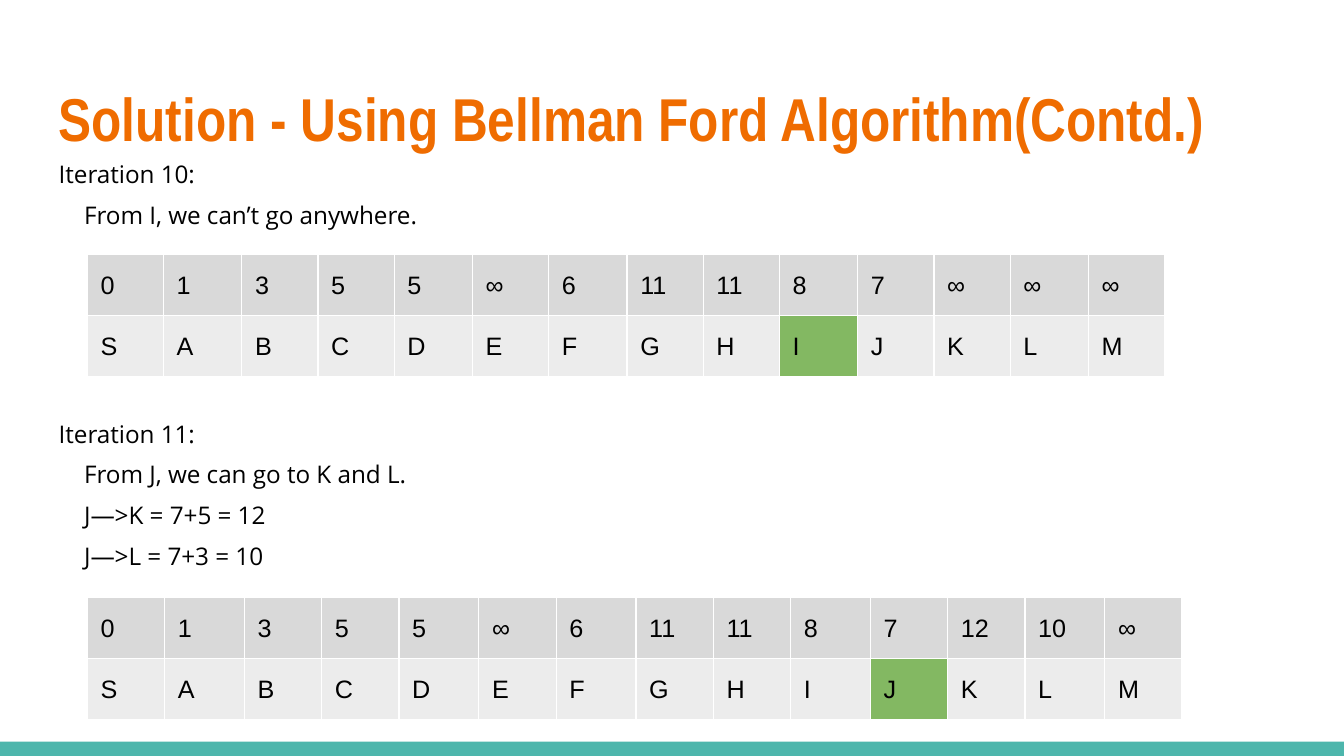
from lxml.etree import SubElement
from pptx import Presentation
from pptx.dml.color import RGBColor
from pptx.enum.shapes import MSO_SHAPE
from pptx.enum.text import MSO_ANCHOR
from pptx.oxml.ns import qn
from pptx.util import Cm, Pt

COLORS = {
    "title": "EF6C00",
    "text": "000000",
    "bar": "4DB6AC",
    "distance": "D9D9D9",
    "node": "ECECEC",
    "current": "83B862",
    "border": "FFFFFF",
}
NODES = "SABCDEFGHIJKLM"
WIDE_COLUMNS = (1, 4, 6, 9, 12)
INSET = Cm(0.25)


class SlideBuilder:
    """Holds the style and the current slide, and adds each kind of element."""

    def __init__(self, slide):
        self.slide = slide

    def color(self, name):
        return RGBColor.from_string(COLORS[name])

    def style(self, paragraph, font, size, color="text", bold=False):
        for run in paragraph.runs:
            run.font.name = font
            run.font.size = Pt(size)
            run.font.bold = bold
            run.font.color.rgb = self.color(color)

    def bar(self, left, top, width, height):
        shape = self.slide.shapes.add_shape(
            MSO_SHAPE.RECTANGLE, Cm(left), Cm(top), Cm(width), Cm(height))
        shape.shadow.inherit = False
        shape.fill.solid()
        shape.fill.fore_color.rgb = self.color("bar")
        shape.line.fill.background()

    def text_frame(self, left, top, width, height):
        shape = self.slide.shapes.add_textbox(Cm(left), Cm(top), Cm(width), Cm(height))
        text_frame = shape.text_frame
        text_frame.word_wrap = True
        text_frame.margin_left = text_frame.margin_right = INSET
        text_frame.margin_top = text_frame.margin_bottom = INSET
        return text_frame

    def title(self, text, *box):
        text_frame = self.text_frame(*box)
        text_frame.vertical_anchor = MSO_ANCHOR.MIDDLE
        text_frame.text = text
        self.style(text_frame.paragraphs[0], "Arial Narrow", 32.4, "title", True)

    def body(self, lines, *box):
        text_frame = self.text_frame(*box)
        text_frame.text = "\n".join(text for text, _, _ in lines)
        for paragraph, (_, indent, space) in zip(text_frame.paragraphs, lines):
            paragraph.line_spacing = 1.04
            paragraph.space_before = Pt(space)
            properties = paragraph._p.get_or_add_pPr()
            properties.set("marL", str(Cm(indent)))
            properties.set("indent", "0")
            self.style(paragraph, "Open Sans", 13)

    def cell(self, cell, text, fill):
        cell.margin_left = cell.margin_right = INSET
        cell.margin_top = cell.margin_bottom = INSET
        properties = cell._tc.get_or_add_tcPr()
        for side in ("a:lnL", "a:lnR", "a:lnT", "a:lnB"):
            line = SubElement(properties, qn(side), w=str(Pt(0.75)))
            solid = SubElement(line, qn("a:solidFill"))
            SubElement(solid, qn("a:srgbClr"), val=COLORS["border"])
        cell.fill.solid()
        cell.fill.fore_color.rgb = self.color(fill)
        cell.text_frame.text = text
        paragraph = cell.text_frame.paragraphs[0]
        paragraph.line_spacing = 1.15
        self.style(paragraph, "Arial", 13.5)

    def distance_table(self, distances, current, top, narrow, wide):
        widths = [wide if index in WIDE_COLUMNS else narrow for index in range(len(NODES))]
        table = self.slide.shapes.add_table(
            2, len(NODES), Cm(1.65), Cm(top), Cm(sum(widths)), Cm(2.22)).table
        table.first_row = table.horz_banding = False
        for row in table.rows:
            row.height = Cm(1.11)
        for index, (distance, node) in enumerate(zip(distances, NODES)):
            table.columns[index].width = Cm(widths[index])
            self.cell(table.cell(0, index), distance, "distance")
            self.cell(table.cell(1, index), node, "current" if node == current else "node")


def main():
    presentation = Presentation()
    presentation.slide_width = Cm(25.4)
    presentation.slide_height = Cm(14.29)
    builder = SlideBuilder(presentation.slides.add_slide(presentation.slide_layouts[6]))
    builder.bar(0, 14.02, 25.4, 0.27)
    builder.title("Solution - Using Bellman Ford Algorithm(Contd.)", 0.86, 1.24, 23.67, 1.96)
    builder.body([
        ("Iteration 10:", 0, 0),
        ("From I, we can’t go anywhere.", 0.48, 5.5),
        ("Iteration 11:", 0, 101.2),
        ("From J, we can go to K and L.", 0.48, 5.5),
        ("J—>K = 7+5 = 12", 0.48, 5.5),
        ("J—>L = 7+3 = 10", 0.48, 5.5),
    ], 0.86, 2.74, 23.67, 10.85)
    known = "0 1 3 5 5 ∞ 6 11 11 8 7".split()
    builder.distance_table(known + ["12", "10", "∞"], "J", 11.29, 1.46, 1.51)
    builder.distance_table(known + ["∞"] * 3, "I", 4.81, 1.44, 1.48)
    presentation.save("out.pptx")


if __name__ == "__main__":
    main()
